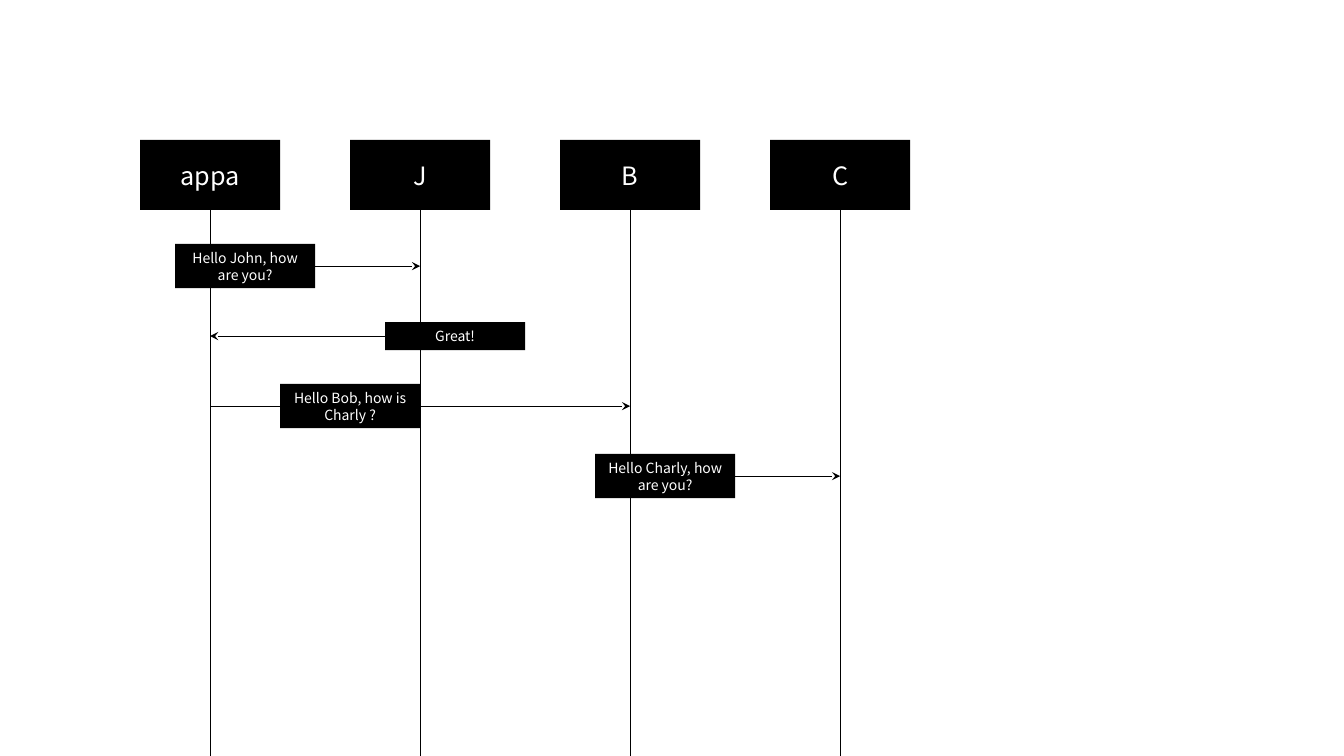
from dataclasses import dataclass

from lxml.etree import SubElement
from pptx import Presentation
from pptx.dml.color import RGBColor
from pptx.enum.shapes import MSO_CONNECTOR, MSO_SHAPE
from pptx.enum.text import MSO_ANCHOR, MSO_AUTO_SIZE, PP_ALIGN
from pptx.oxml.ns import qn
from pptx.util import Inches, Pt


@dataclass(frozen=True)
class Theme:
    """Colours, font and sizes of the diagram."""
    ink: RGBColor = RGBColor(0, 0, 0)
    paper: RGBColor = RGBColor(255, 255, 255)
    font: str = "Noto Sans CJK KR"
    actor_size: Pt = Pt(18)
    message_size: Pt = Pt(10)
    line_width: Pt = Pt(0.5)


# The diagram sits on a square grid with 36 units in 25 inches.
UNIT = Inches(25) // 36
BOX_WIDTH = 2 * UNIT
HEAD_TOP = 2 * UNIT
LIFELINE_TOP = 3 * UNIT
LIFELINE_BOTTOM = 11 * UNIT
ACTOR_STEP = 3 * UNIT
FIRST_MESSAGE = Inches(2.64)
ONE_LINE, TWO_LINES = Inches(0.28), Inches(0.44)

ACTORS = ["appa", "J", "B", "C"]
MESSAGES = [  # sender, receiver, text, box height
    ("appa", "J", "Hello John, how are you?", TWO_LINES),
    ("J", "appa", "Great!", ONE_LINE),
    ("appa", "B", "Hello Bob, how is Charly ?", TWO_LINES),
    ("B", "C", "Hello Charly, how are you?", TWO_LINES),
]


class SequenceDiagram:
    """Draws the parts of a sequence diagram on one slide."""

    def __init__(self, slide, theme):
        """Keep the slide and its style."""
        self.slide = slide
        self.theme = theme
        self.centers = {}

    def box(self, left, top, height, text, size):
        """Add a filled box with centred text and return it."""
        box = self.slide.shapes.add_shape(
            MSO_SHAPE.RECTANGLE, left, top, BOX_WIDTH, height)
        box.shadow.inherit = False
        box.fill.solid()
        box.fill.fore_color.rgb = self.theme.ink
        box.line.fill.background()
        frame = box.text_frame
        frame.word_wrap = True
        frame.vertical_anchor = MSO_ANCHOR.MIDDLE
        para = frame.paragraphs[0]
        para.text = text
        para.alignment = PP_ALIGN.CENTER
        para.font.name = self.theme.font
        para.font.size = size
        para.font.color.rgb = self.theme.paper
        return box

    def line(self, start_x, start_y, end_x, end_y, arrow=False):
        """Add a thin line, with a stealth arrowhead at its end if asked."""
        line = self.slide.shapes.add_connector(
            MSO_CONNECTOR.STRAIGHT, start_x, start_y, end_x, end_y)
        line.line.color.rgb = self.theme.ink
        line.line.width = self.theme.line_width
        if arrow:
            SubElement(line.line._get_or_add_ln(), qn("a:tailEnd"), type="stealth")
        SubElement(line._element.spPr, qn("a:effectLst"))

    def actor(self, name, left):
        """Add an actor's head and lifeline."""
        center = left + BOX_WIDTH // 2
        self.centers[name] = center
        self.box(left, HEAD_TOP, UNIT, name, self.theme.actor_size)
        self.line(center, LIFELINE_TOP, center, LIFELINE_BOTTOM)

    def message(self, sender, receiver, text, middle, height):
        """Add a message label and the arrow between two lifelines."""
        start, end = self.centers[sender], self.centers[receiver]
        left = start + abs(end - start) // 2 - BOX_WIDTH
        label = self.box(left, middle - height // 2, height, text,
                         self.theme.message_size)
        label.text_frame.auto_size = MSO_AUTO_SIZE.SHAPE_TO_FIT_TEXT
        self.line(start, middle, end, middle, arrow=True)


def main():
    """Build and save the deck."""
    deck = Presentation()
    deck.slide_width, deck.slide_height = Inches(13.33), Inches(7.5)
    slide = deck.slides.add_slide(deck.slide_layouts[6])
    diagram = SequenceDiagram(slide, Theme())
    for column, name in enumerate(ACTORS):
        diagram.actor(name, 2 * UNIT + column * ACTOR_STEP)
    for row, (sender, receiver, text, height) in enumerate(MESSAGES):
        diagram.message(sender, receiver, text, FIRST_MESSAGE + row * UNIT, height)
    deck.save("out.pptx")


main()
